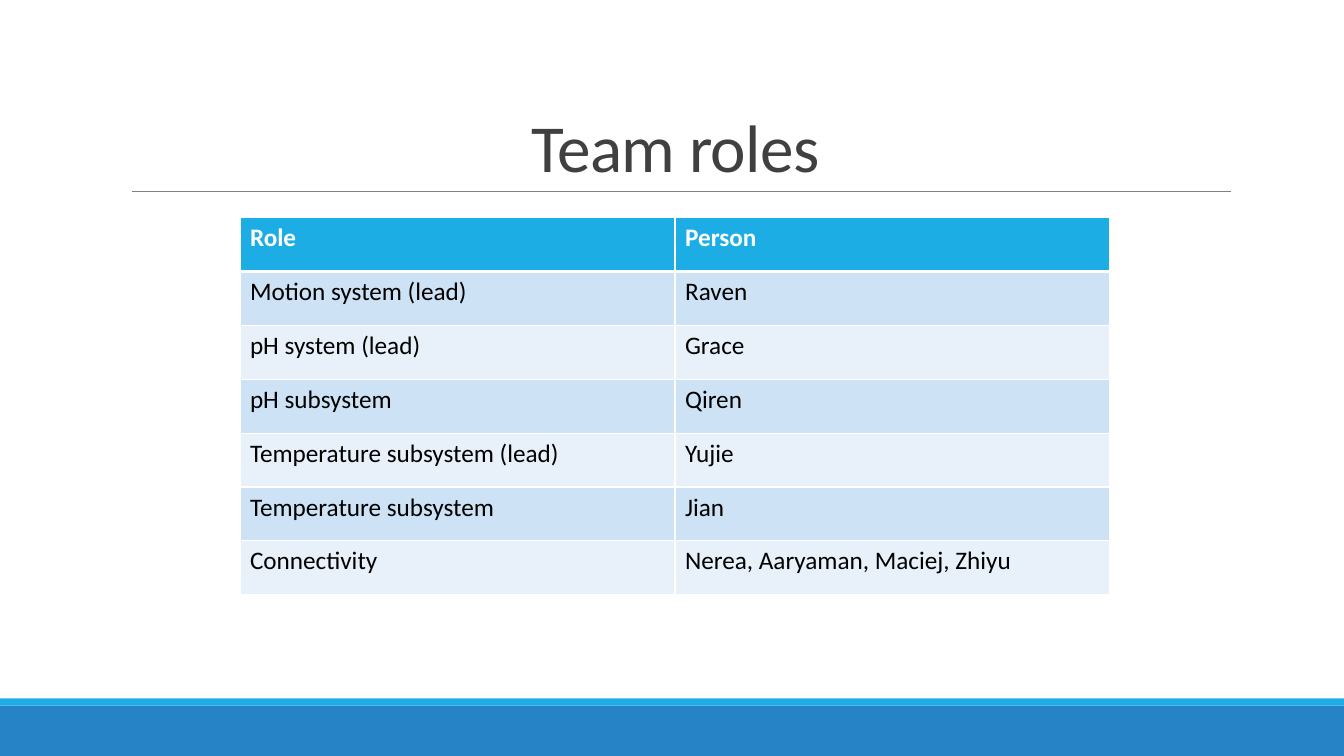
from dataclasses import dataclass

from lxml.etree import SubElement
from pptx import Presentation
from pptx.dml.color import RGBColor
from pptx.enum.shapes import MSO_CONNECTOR, MSO_SHAPE
from pptx.enum.text import MSO_ANCHOR, PP_ALIGN
from pptx.oxml.ns import qn
from pptx.util import Inches, Pt

FONT = "Calibri"
WIDTH, HEIGHT = Inches(13.33), Inches(7.5)
WHITE, BLACK, ACCENT = "FFFFFF", "000000", "1CADE4"
BANDS = ("CDE3F5", "E8F1FA")


@dataclass
class Bar:
    top: float  # inches
    height: float
    color: str


@dataclass
class Role:
    name: str
    person: str


BARS = [Bar(7, 0.5, "2683C6"), Bar(6.93, 0.07, ACCENT)]
ROLES = [
    Role("Role", "Person"),
    Role("Motion system (lead)", "Raven"),
    Role("pH system (lead)", "Grace"),
    Role("pH subsystem", "Qiren"),
    Role("Temperature subsystem (lead)", "Yujie"),
    Role("Temperature subsystem", "Jian"),
    Role("Connectivity", "Nerea, Aaryaman, Maciej, Zhiyu"),
]


def rgb(color: str) -> RGBColor:
    return RGBColor.from_string(color)


def add_run(p, text: str, size: float, color: str, bold: bool = False):
    r = p.add_run()
    r.text = text
    r.font.name, r.font.size, r.font.bold = FONT, Pt(size), bold
    r.font.color.rgb = rgb(color)
    return r


def draw_bar(s, bar: Bar) -> None:
    sp = s.shapes.add_shape(MSO_SHAPE.RECTANGLE, 0, Inches(bar.top), WIDTH, Inches(bar.height))
    sp.shadow.inherit = False
    sp.fill.solid()
    sp.fill.fore_color.rgb = rgb(bar.color)
    sp.line.fill.background()


def draw_rule(s) -> None:
    y = Inches(1.9)
    ln = s.shapes.add_connector(MSO_CONNECTOR.STRAIGHT, Inches(1.31), y, Inches(12.21), y)
    ln.line.color.rgb = rgb("808080")
    ln.line.width = Pt(0.5)
    SubElement(ln._element.spPr, qn("a:effectLst"))


def draw_title(s, text: str) -> None:
    tf = s.shapes.add_textbox(Inches(1.2), Inches(0.31), Inches(11), Inches(1.59)).text_frame
    tf.word_wrap = True
    tf.vertical_anchor = MSO_ANCHOR.BOTTOM
    p = tf.paragraphs[0]
    p.alignment, p.line_spacing = PP_ALIGN.CENTER, 0.85
    r = add_run(p, text, 48, "404040")
    r.font._element.set("spc", "-50")


def set_borders(cell, top: float, bottom: float) -> None:
    tc_pr = cell._tc.get_or_add_tcPr()
    for side, width in (("L", 1), ("R", 1), ("T", top), ("B", bottom)):
        ln = SubElement(tc_pr, qn(f"a:ln{side}"), w=str(Pt(width)))
        SubElement(SubElement(ln, qn("a:solidFill")), qn("a:srgbClr"), val=WHITE)


def draw_roles(s, roles: list[Role]) -> None:
    table = s.shapes.add_table(
        len(roles), 2, Inches(2.38), Inches(2.16), Inches(8.63), Inches(3.74)
    ).table
    for i, role in enumerate(roles):
        header = i == 0
        for j, text in enumerate((role.name, role.person)):
            cell = table.cell(i, j)
            # The line below the header is heavier than the others
            set_borders(cell, top=3 if i == 1 else 1, bottom=3 if header else 1)
            cell.fill.solid()
            cell.fill.fore_color.rgb = rgb(ACCENT if header else BANDS[(i - 1) % 2])
            add_run(cell.text_frame.paragraphs[0], text, 18, WHITE if header else BLACK, header)


def main() -> None:
    prs = Presentation()
    prs.slide_width, prs.slide_height = WIDTH, HEIGHT
    s = prs.slides.add_slide(prs.slide_layouts[6])

    # Footer bars
    for bar in BARS:
        draw_bar(s, bar)

    # Heading
    draw_rule(s)
    draw_title(s, "Team roles")

    # Roles table
    draw_roles(s, ROLES)

    prs.save("out.pptx")


if __name__ == "__main__":
    main()
